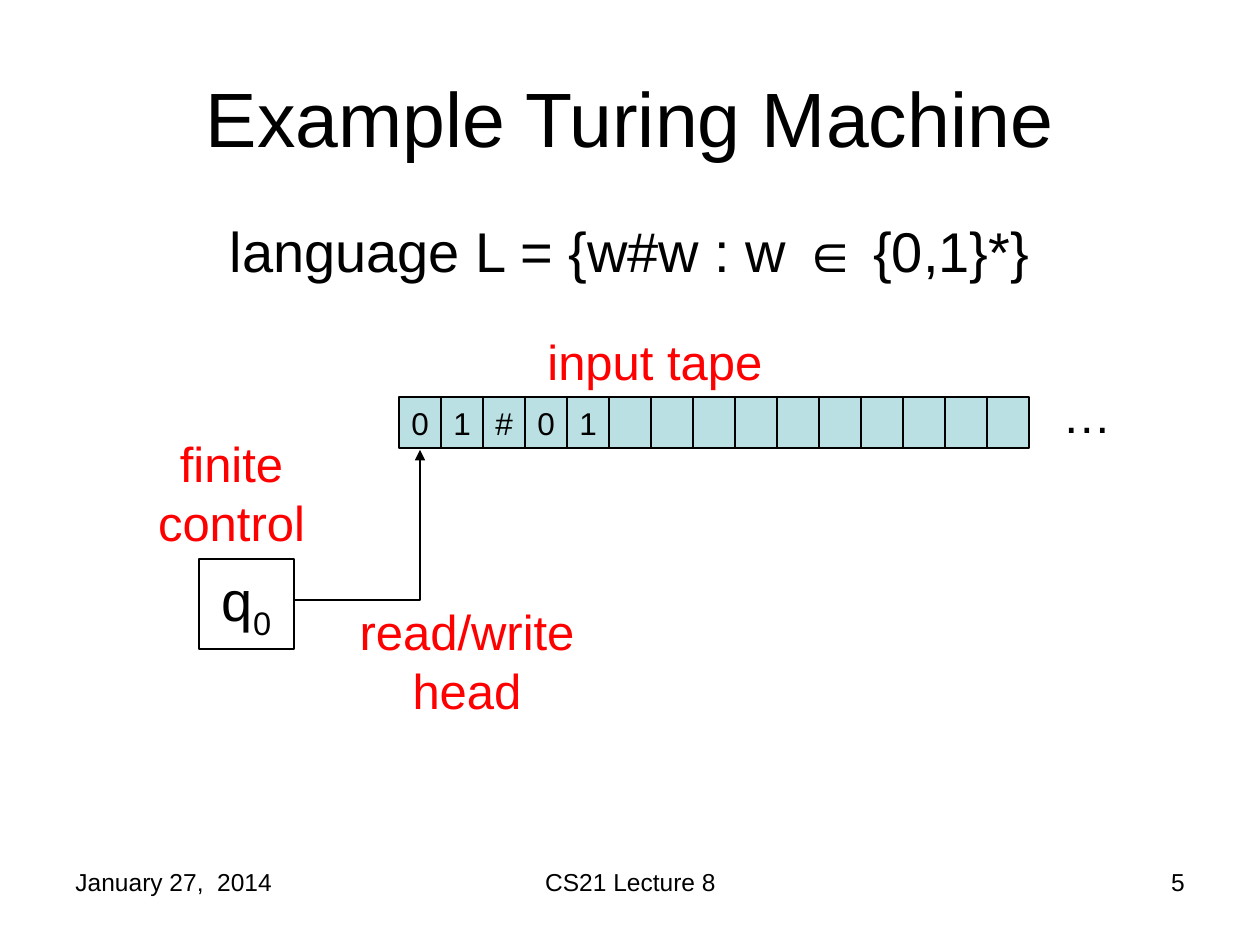
from lxml import etree
from pptx import Presentation
from pptx.dml.color import RGBColor
from pptx.enum.shapes import MSO_CONNECTOR, MSO_SHAPE
from pptx.enum.text import MSO_ANCHOR, PP_ALIGN
from pptx.oxml.ns import qn
from pptx.util import Emu, Pt

PX = 914400 / 126
FONT = "Arial"
COLORS = {"ink": "000000", "label": "FF0000", "cell": "BBE0E3"}
LEFT, CENTER, RIGHT = PP_ALIGN.LEFT, PP_ALIGN.CENTER, PP_ALIGN.RIGHT
TOP, MIDDLE = MSO_ANCHOR.TOP, MSO_ANCHOR.MIDDLE
RECTANGLE = MSO_SHAPE.RECTANGLE
ELBOW = MSO_CONNECTOR.ELBOW

TAPE_LEFT, TAPE_TOP = 399, 397
CELL_WIDTH, CELL_HEIGHT = 42, 51
CELL_COUNT = 15
TAPE_SYMBOLS = "01#01"


def px(*lengths):
    return [Emu(round(length * PX)) for length in lengths]


def color(name):
    return RGBColor.from_string(COLORS[name])


def write(shape, text, size, align, anchor, color_name="ink"):
    frame = shape.text_frame
    frame.word_wrap = True
    frame.vertical_anchor = anchor
    paragraph = frame.paragraphs[0]
    paragraph.alignment = align
    paragraph.font.name = FONT
    paragraph.font.size = Pt(size)
    paragraph.font.color.rgb = color(color_name)
    paragraph.add_run().text = text
    return paragraph


def add_text(slide, box, text, size, align=CENTER, anchor=TOP, color_name="ink"):
    text_box = slide.shapes.add_textbox(*px(*box))
    write(text_box, text, size, align, anchor, color_name)


def add_box(slide, box, fill=None):
    shape = slide.shapes.add_shape(RECTANGLE, *px(*box))
    shape.shadow.inherit = False
    if fill:
        shape.fill.solid()
        shape.fill.fore_color.rgb = color(fill)
    else:
        shape.fill.background()
    shape.line.color.rgb = color("ink")
    shape.line.width = Pt(0.75)
    return shape


def add_tape(slide):
    for index in range(CELL_COUNT):
        left = TAPE_LEFT + index * CELL_WIDTH
        cell = add_box(slide, (left, TAPE_TOP, CELL_WIDTH, CELL_HEIGHT), "cell")
        if index < len(TAPE_SYMBOLS):
            write(cell, TAPE_SYMBOLS[index], 18, CENTER, MIDDLE)


def add_control(slide):
    control = add_box(slide, (199, 559, 95, 90))
    paragraph = write(control, "q", 32, CENTER, MIDDLE)
    subscript = paragraph.add_run()
    subscript.text = "0"
    subscript.font._element.set("baseline", "-25000")


def add_head_arrow(slide, start, end):
    connector = slide.shapes.add_connector(ELBOW, *px(*start, *end))
    connector.line.color.rgb = color("ink")
    connector.line.width = Pt(0.75)
    properties = connector._element.spPr
    properties.find(qn("a:prstGeom")).set("prst", "bentConnector2")
    line = properties.find(qn("a:ln"))
    etree.SubElement(line, qn("a:tailEnd"), type="triangle")
    etree.SubElement(properties, qn("a:effectLst"))


def main():
    presentation = Presentation()
    presentation.slide_width, presentation.slide_height = px(1260, 945)
    slide = presentation.slides.add_slide(presentation.slide_layouts[6])

    add_text(slide, (63, 861, 294, 65), "January 27,  2014", 14, LEFT)
    add_text(slide, (431, 861, 399, 65), "CS21 Lecture 8", 14)
    add_text(slide, (903, 861, 294, 65), "5", 14, RIGHT)
    add_text(slide, (63, 38, 1134, 157), "Example Turing Machine", 44, anchor=MIDDLE)
    add_text(slide, (63, 210, 1134, 95), "language L = {w#w : w ∈ {0,1}*}", 32)

    add_tape(slide)
    add_control(slide)
    add_head_arrow(slide, (294, 600), (TAPE_LEFT + CELL_WIDTH // 2, 450))

    add_text(slide, (535, 325, 294, 72), "input tape", 28, LEFT, color_name="label")
    add_text(slide, (116, 427, 231, 131), "finite control", 28, color_name="label")
    add_text(slide, (1050, 378, 95, 72), "…", 28, LEFT)
    add_text(slide, (336, 595, 262, 131), "read/write head", 28, color_name="label")

    presentation.save("out.pptx")


if __name__ == "__main__":
    main()
